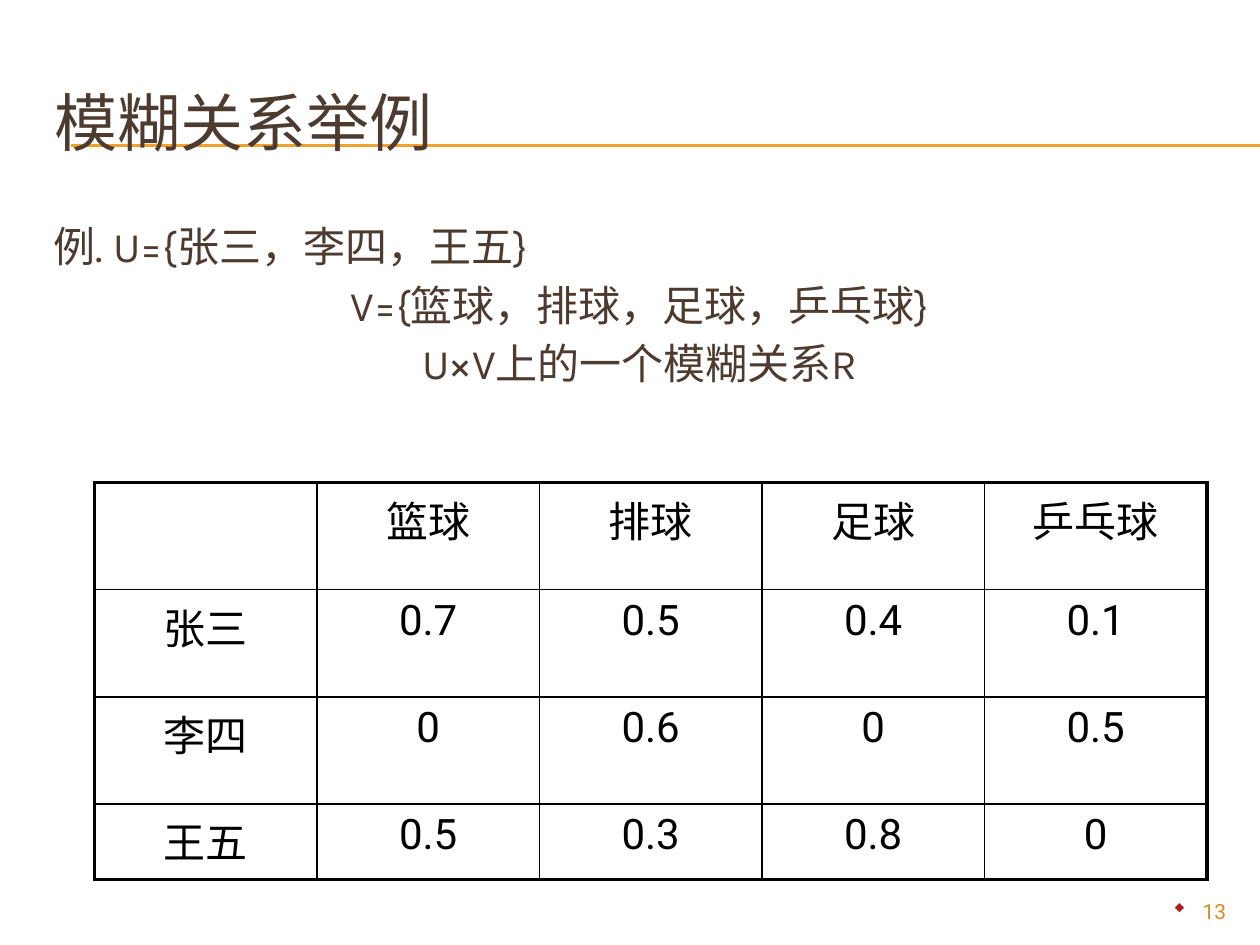
from lxml.etree import SubElement
from pptx import Presentation
from pptx.dml.color import RGBColor
from pptx.enum.shapes import MSO_CONNECTOR
from pptx.enum.text import MSO_ANCHOR, MSO_AUTO_SIZE, PP_ALIGN
from pptx.oxml import parse_xml
from pptx.oxml.ns import nsdecls, qn
from pptx.util import Inches, Pt

COLORS = {"text": "4E3B30", "rule": "F0A22E", "number": "D38E27",
          "bullet": "AD1F1F", "table": "000000"}
TITLE = "模糊关系举例"
DEFINITIONS = [
    ("例. U={张三，李四，王五}", PP_ALIGN.LEFT),
    ("V={篮球，排球，足球，乒乓球}", PP_ALIGN.CENTER),
    ("U×V上的一个模糊关系R", PP_ALIGN.CENTER),
]
RELATION = [
    ["", "篮球", "排球", "足球", "乒乓球"],
    ["张三", "0.7", "0.5", "0.4", "0.1"],
    ["李四", "0", "0.6", "0", "0.5"],
    ["王五", "0.5", "0.3", "0.8", "0"],
]
ROW_HEIGHTS = [0.85, 0.85, 0.85, 0.6]
PAGE_NUMBER = "13"
DIAMOND = {"font": "Wingdings", "char": "w"}
RULE_HEIGHTS = [1.15, 1.16]


def place(left, top, width, height):
    return [Inches(value) for value in (left, top, width, height)]


def write(para, text, size, font, color, align, before=0):
    para.alignment = align
    para.space_before = Pt(before)
    span = para.add_run()
    span.text = text
    span.font.size = Pt(size)
    span.font.name = font
    span.font.color.rgb = RGBColor.from_string(COLORS[color])


def add_rule(page, height):
    rule = page.shapes.add_connector(
        MSO_CONNECTOR.STRAIGHT, Inches(0.56), Inches(height), Inches(10), Inches(height))
    rule.line.color.rgb = RGBColor.from_string(COLORS["rule"])
    rule.line.width = Pt(0.75)
    SubElement(rule._element.spPr, qn("a:effectLst"))
    page.shapes._spTree.insert(2, rule._element)


def add_title(page):
    title = page.shapes.title
    title.left, title.top, title.width, title.height = place(0.33, 0.5, 9.5, 0.92)
    frame = title.text_frame
    frame.auto_size = MSO_AUTO_SIZE.NONE
    frame.vertical_anchor = MSO_ANCHOR.MIDDLE
    write(frame.paragraphs[0], TITLE, 36, "Karla", "text", PP_ALIGN.LEFT)


def add_definitions(page):
    frame = page.shapes.add_textbox(*place(0.33, 1.7, 9.5, 4.95)).text_frame
    frame.word_wrap = True
    for index, (text, align) in enumerate(DEFINITIONS):
        para = frame.add_paragraph() if index else frame.paragraphs[0]
        write(para, text, 24, "Karla", "text", align, 4.8)
        properties = para._p.get_or_add_pPr()
        properties.set("marL", str(Inches(0.38)))
        properties.set("indent", str(Inches(-0.38)))


def add_page_number(page):
    frame = page.shapes.add_textbox(*place(9, 7.08, 0.83, 0.27)).text_frame
    frame.word_wrap = True
    para = frame.paragraphs[0]
    write(para, PAGE_NUMBER, 12, "Roboto", "number", PP_ALIGN.RIGHT)
    properties = para._p.get_or_add_pPr()
    color = SubElement(properties, qn("a:buClr"))
    SubElement(color, qn("a:srgbClr"), val=COLORS["bullet"])
    SubElement(properties, qn("a:buSzPct"), val="110000")
    SubElement(properties, qn("a:buFont"), typeface=DIAMOND["font"],
               pitchFamily="2", charset="2")
    SubElement(properties, qn("a:buChar"), char=DIAMOND["char"])


def set_borders(cell, widths):
    properties = cell._tc.get_or_add_tcPr()
    for index, (side, width) in enumerate(widths.items()):
        properties.insert(index, parse_xml(
            f'<a:ln{side} {nsdecls("a")} w="{Pt(width)}"><a:solidFill>'
            f'<a:srgbClr val="{COLORS["table"]}"/></a:solidFill></a:ln{side}>'))


def add_relation(page):
    last_row, last_column = len(RELATION) - 1, len(RELATION[0]) - 1
    table = page.shapes.add_table(
        last_row + 1, last_column + 1, *place(0.75, 3.83, 8.83, sum(ROW_HEIGHTS))).table
    table.first_row = table.horz_banding = False
    for row, (values, height) in enumerate(zip(RELATION, ROW_HEIGHTS)):
        table.rows[row].height = Inches(height)
        for column, text in enumerate(values):
            cell = table.cell(row, column)
            cell.fill.background()
            edges = {"L": column == 0, "R": column == last_column,
                     "T": row == 0, "B": row == last_row}
            set_borders(cell, {side: 2.25 if outer else 1 for side, outer in edges.items()})
            if text:
                write(cell.text_frame.paragraphs[0], text, 24, "Roboto", "table",
                      PP_ALIGN.CENTER, 4.8)


def main():
    deck = Presentation()
    deck.slide_width, deck.slide_height = Inches(10), Inches(7.5)
    page = deck.slides.add_slide(deck.slide_layouts[5])
    for height in RULE_HEIGHTS:
        add_rule(page, height)
    add_title(page)
    add_definitions(page)
    add_page_number(page)
    add_relation(page)
    deck.save("out.pptx")


if __name__ == "__main__":
    main()
